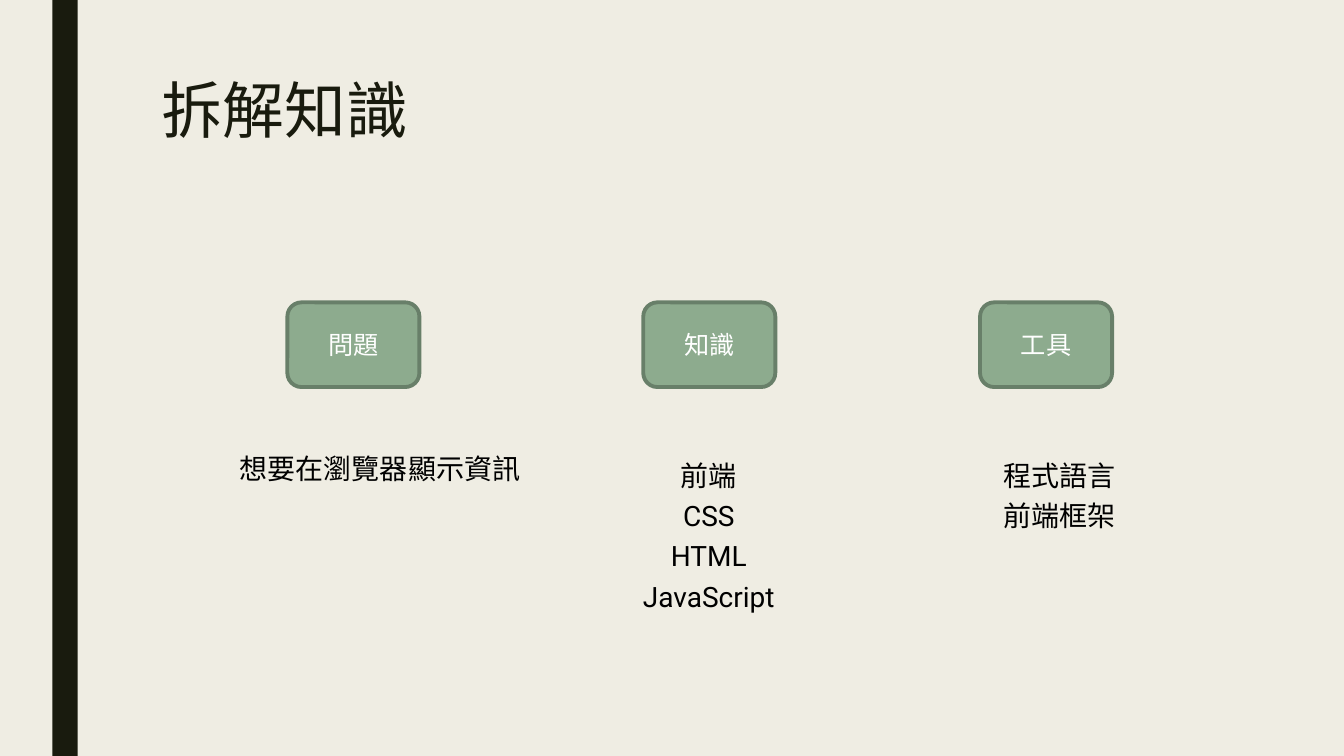
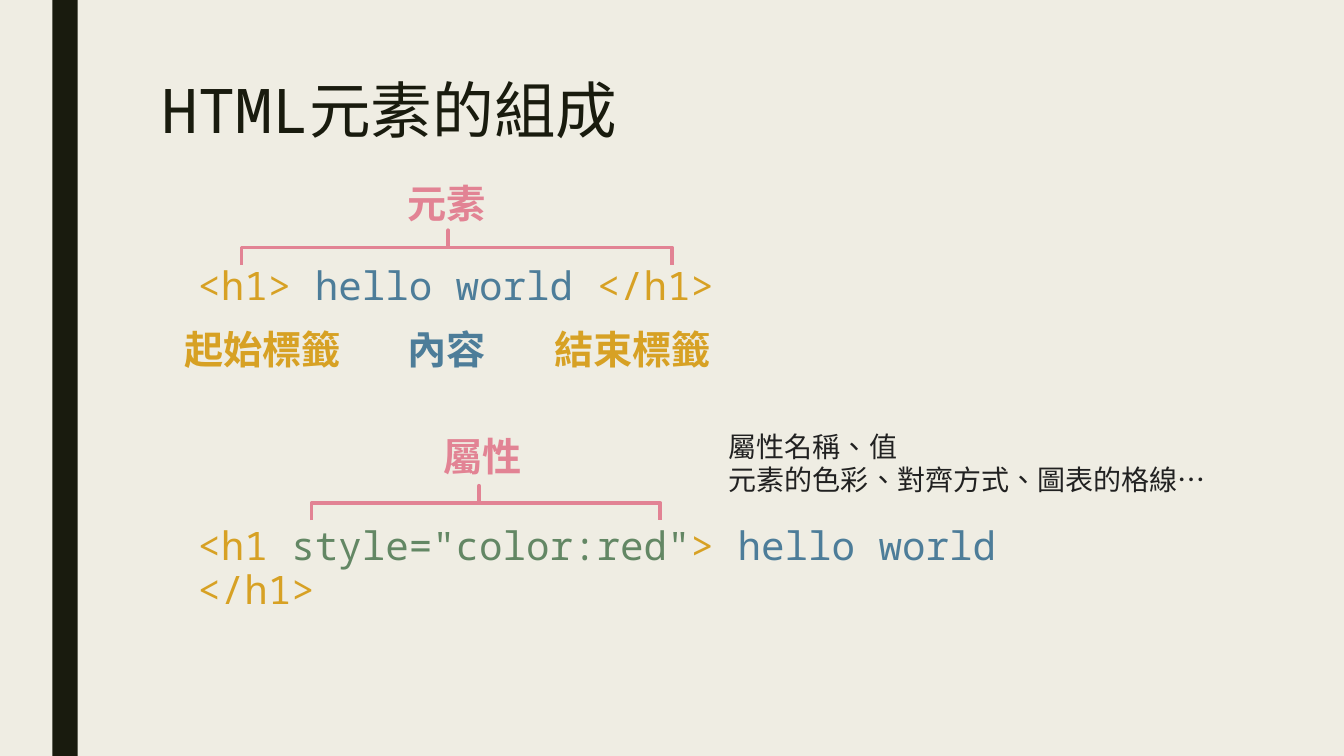
from pptx import Presentation
from pptx.dml.color import RGBColor
from pptx.enum.shapes import MSO_SHAPE as SHAPE
from pptx.enum.text import MSO_ANCHOR as ANCHOR, MSO_AUTO_SIZE as AUTO_SIZE, PP_ALIGN as ALIGN
from pptx.util import Inches, Pt

CREAM = RGBColor(0xEF, 0xED, 0xE3)
DARK = RGBColor(0x19, 0x1B, 0x0E)
SAGE = RGBColor(0x8D, 0xAB, 0x8E)
SAGE_EDGE = RGBColor(0x68, 0x7F, 0x69)
GREEN = RGBColor(0x63, 0x87, 0x64)
GOLD = RGBColor(0xD7, 0xA1, 0x24)
BLUE = RGBColor(0x4D, 0x7D, 0x99)
PINK = RGBColor(0xE2, 0x83, 0x94)
GREY = RGBColor(0x21, 0x21, 0x21)
BLACK = RGBColor(0, 0, 0)
WHITE = RGBColor(0xFF, 0xFF, 0xFF)
MONO, ROBOTO, ARIAL = "Noto Sans Mono", "Roboto", "Arial"


def write(frame, lines, font, size, align=ALIGN.LEFT, spacing=None, bold=False):
    """Fill a frame; each line is a list of (text, colour) runs."""
    frame.word_wrap = True
    for number, line in enumerate(lines):
        paragraph = frame.add_paragraph() if number else frame.paragraphs[0]
        paragraph.alignment = align
        paragraph.line_spacing = spacing
        for text, colour in line:
            run = paragraph.add_run()
            run.text = text
            run.font.name = font
            run.font.size = Pt(size)
            run.font.bold = bold
            run.font.color.rgb = colour
            run.font._element.set("lang", "zh-TW")


def add_text(slide, left, top, width, height, lines, font, size, **style):
    box = slide.shapes.add_textbox(Inches(left), Inches(top), Inches(width), Inches(height))
    write(box.text_frame, lines, font, size, **style)


prs = Presentation()
prs.slide_width, prs.slide_height = Inches(13.33), Inches(7.5)

# Shared look: background and side band on the master, title on every slide
master = prs.slide_master
master.background.fill.solid()
master.background.fill.fore_color.rgb = CREAM

slides = []
for heading in ("拆解知識", "HTML元素的組成"):
    slide = prs.slides.add_slide(prs.slide_layouts[5])
    title = slide.shapes.title
    title.left, title.top = Inches(1.5), Inches(0.75)
    title.width, title.height = Inches(10.5), Inches(0.82)
    title.text_frame.vertical_anchor = ANCHOR.TOP
    title.text_frame.auto_size = AUTO_SIZE.NONE
    write(title.text_frame, [[(heading, DARK)]], MONO, 44, spacing=0.89)
    slides.append(slide)
breakdown, anatomy = slides

band = breakdown.shapes.add_shape(SHAPE.RECTANGLE, Inches(0.52), 0, Inches(0.25), prs.slide_height)
band.shadow.inherit = False
band.fill.solid()
band.fill.fore_color.rgb = DARK
band.line.fill.background()
master.shapes.element.insert(2, band.element)

# Slide 1: three steps, each with its details below
for left, step in ((2.85, "問題"), (6.38, "知識"), (9.72, "工具")):
    button = breakdown.shapes.add_shape(
        SHAPE.ROUNDED_RECTANGLE, Inches(left), Inches(3), Inches(1.31), Inches(0.84))
    button.shadow.inherit = False
    button.fill.solid()
    button.fill.fore_color.rgb = SAGE
    button.line.color.rgb = SAGE_EDGE
    button.line.width = Pt(2.75)
    button.text_frame.vertical_anchor = ANCHOR.MIDDLE
    write(button.text_frame, [[(step, WHITE)]], ROBOTO, 18, align=ALIGN.CENTER)

details = [
    (2.28, 3.17, 0.44, ALIGN.LEFT, None, ["想要在瀏覽器顯示資訊"]),
    (5.54, 2.98, 1.68, ALIGN.CENTER, 1.2, ["前端", "CSS", "HTML", "JavaScript"]),
    (9.02, 2.98, 0.87, ALIGN.CENTER, 1.2, ["程式語言", "前端框架"]),
]
for left, width, height, align, spacing, items in details:
    add_text(breakdown, left, 4.43, width, height, [[(item, BLACK)] for item in items],
             ROBOTO, 20, align=align, spacing=spacing)

# Slide 2: code lines, their labels and braces
element_code = [("<h1> ", GOLD), ("hello world ", BLUE), ("</h1>", GOLD)]
attribute_code = [("<h1 ", GOLD), ('style="color:red"', GREEN), ("> ", GOLD),
                  ("hello world ", BLUE), ("</h1>", GOLD)]
for top, width, height, code in ((2.58, 5.63, 1.03, element_code), (5.16, 9.03, 0.56, attribute_code)):
    add_text(anatomy, 1.86, top, width, height, [code], MONO, 28, spacing=0.94)

labels = [
    (3.94, 1.73, 1.04, "元素", PINK),
    (1.73, 3.18, 1.97, "起始標籤", GOLD),
    (3.94, 3.18, 1.25, "內容", BLUE),
    (5.4, 3.18, 1.97, "結束標籤", GOLD),
    (4.3, 4.24, 1.04, "屬性", PINK),
]
for left, top, width, label, colour in labels:
    add_text(anatomy, left, top, width, 0.57, [[(label, colour)]], ARIAL, 28, bold=True)

for left, top, span in ((4.36, 0.32, 4.27), (4.65, 3.26, 3.46)):
    brace = anatomy.shapes.add_shape(
        SHAPE.LEFT_BRACE, Inches(left), Inches(top), Inches(0.34), Inches(span))
    brace.rotation = 90
    brace.adjustments[0], brace.adjustments[1] = 0, 0.52
    brace.shadow.inherit = False
    brace.fill.background()
    brace.line.color.rgb = PINK
    brace.line.width = Pt(2.75)

add_text(anatomy, 7.13, 4.21, 5.29, 0.77,
         [[("屬性名稱、值", GREY)], [("元素的色彩、對齊方式、圖表的格線…", GREY)]], ARIAL, 20)

prs.save("out.pptx")
